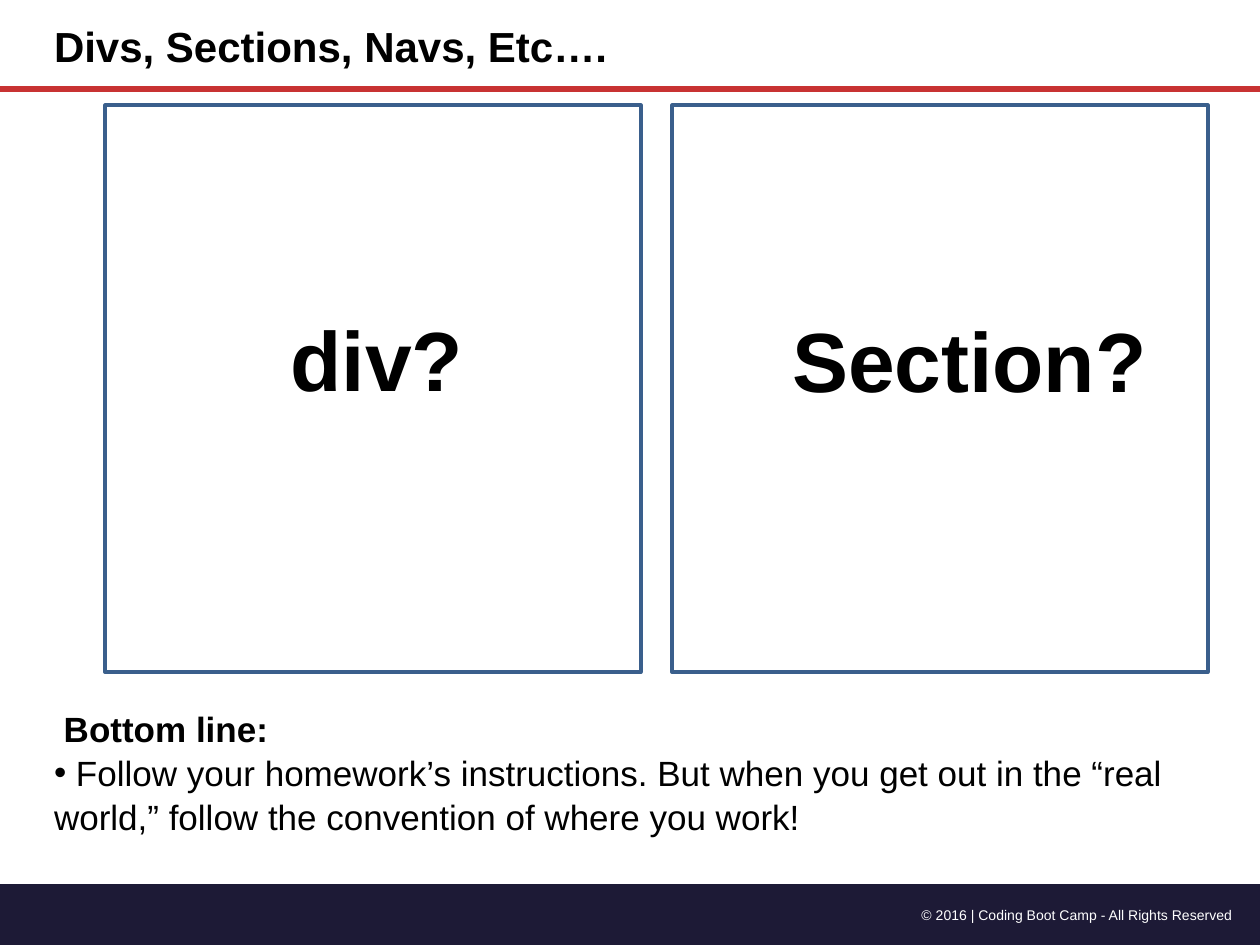
"""Build the slide that compares div and section elements."""
from typing import NamedTuple

from lxml import etree
from pptx import Presentation
from pptx import util as u
from pptx.dml.color import RGBColor
from pptx.enum import shapes, text
from pptx.oxml import ns


class Box(NamedTuple):
    left: float
    top: float
    width: float
    height: float


class Line(NamedTuple):
    words: str
    bullet: bool = False
    format: dict = {}


class Label(NamedTuple):
    box: Box
    lines: list[Line]
    format: dict
    color: str = "000000"
    wrap: bool = True
    paragraph_format: dict = {}
    frame_format: dict = {}


TITLE = {"name": "Arial", "size": u.Pt(24), "bold": True}
BODY = {"name": "Arial", "size": u.Pt(20)}
QUESTION = {"name": "Arial", "size": u.Pt(48), "bold": True}
FOOTER = {"name": "Arial", "size": u.Pt(8)}

FOOTER_BAR = Box(0, 17.83, 25.43, 1.27)
PANELS = [Box(left, 2.12, 10.8, 11.43) for left in (2.12, 13.55)]
LABELS = [
    Label(Box(17.35, 18.16, 7.75, 0.58),
          [Line("© 2016 | Coding Boot Camp - All Rights Reserved")], FOOTER, "FFFFFF",
          paragraph_format={"alignment": text.PP_ALIGN.RIGHT}),
    Label(Box(0.84, 0.28, 15.88, 1.27), [Line("Divs, Sections, Navs, Etc….")], TITLE),
    Label(Box(0.84, 13.97, 24.26, 3.38),
          [Line(" Bottom line:", format={"bold": True}),
           Line(" Follow your homework’s instructions. But when you get out in the "
                "“real world,” follow the convention of where you work!", bullet=True)],
          BODY, paragraph_format={"line_spacing": 1.05},
          frame_format={"margin_top": u.Cm(0.25), "margin_bottom": u.Cm(0.25)}),
    Label(Box(5.61, 6.07, 3.99, 2.29), [Line("div?")], QUESTION, wrap=False),
    Label(Box(15.72, 6.1, 7.65, 2.29), [Line("Section?")], QUESTION, wrap=False),
]


def rgb(value: str) -> RGBColor:
    return RGBColor.from_string(value)


def apply(target, values: dict) -> None:
    for name, value in values.items():
        setattr(target, name, value)


def place(box: Box) -> list[u.Length]:
    return [u.Cm(length) for length in box]


def add_panel(slide, box: Box) -> None:
    shape = slide.shapes.add_shape(shapes.MSO_SHAPE.RECTANGLE, *place(box))
    shape.shadow.inherit = False
    shape.fill.background()
    shape.line.color.rgb = rgb("3A5F8C")
    shape.line.width = u.Pt(2)


def add_footer_bar(slide) -> None:
    shape = slide.shapes.add_shape(
        shapes.MSO_SHAPE.FLOWCHART_PROCESS, *place(FOOTER_BAR))
    shape.shadow.inherit = False
    shape.fill.solid()
    shape.fill.fore_color.rgb = rgb("1D1A36")
    shape.line.fill.background()


def add_title_rule(slide) -> None:
    rule = slide.shapes.add_connector(
        shapes.MSO_CONNECTOR.STRAIGHT, 0, u.Cm(1.8), u.Cm(25.4), u.Cm(1.8))
    rule.line.color.rgb = rgb("C83232")
    rule.line.width = u.Pt(3.25)
    etree.SubElement(rule._element.spPr, ns.qn("a:effectLst"))


def add_label(slide, label: Label) -> None:
    frame = slide.shapes.add_textbox(*place(label.box)).text_frame
    apply(frame, {"word_wrap": label.wrap, **label.frame_format})
    for index, line in enumerate(label.lines):
        paragraph = frame.add_paragraph() if index else frame.paragraphs[0]
        apply(paragraph, label.paragraph_format)
        if line.bullet:
            properties = paragraph._p.get_or_add_pPr()
            etree.SubElement(properties, ns.qn("a:buFont"), typeface="Arial")
            etree.SubElement(properties, ns.qn("a:buChar"), char="•")
        run = paragraph.add_run()
        run.text = line.words
        apply(run.font, {**label.format, **line.format})
        run.font.color.rgb = rgb(label.color)


def main() -> None:
    presentation = Presentation()
    apply(presentation, {"slide_width": u.Cm(25.4), "slide_height": u.Cm(19.05)})
    slide = presentation.slides.add_slide(presentation.slide_layouts[6])
    add_footer_bar(slide)
    add_title_rule(slide)
    for panel in PANELS:
        add_panel(slide, panel)
    for label in LABELS:
        add_label(slide, label)
    presentation.save("out.pptx")


if __name__ == "__main__":
    main()
